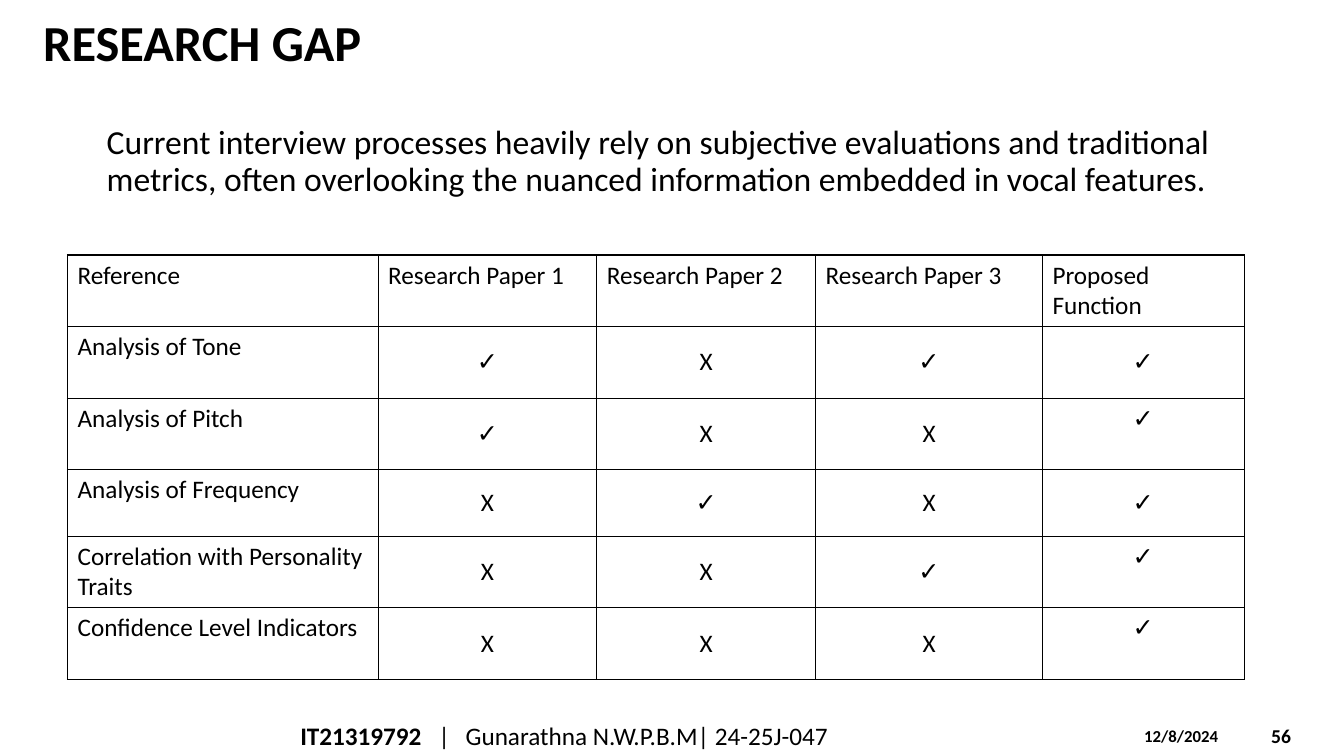
from dataclasses import dataclass

from lxml import etree
from pptx import Presentation
from pptx.dml.color import RGBColor
from pptx.enum.text import MSO_ANCHOR, PP_ALIGN
from pptx.oxml.ns import qn
from pptx.util import Inches, Pt

TOP, MIDDLE = MSO_ANCHOR.TOP, MSO_ANCHOR.MIDDLE
LEFT, CENTER = PP_ALIGN.LEFT, PP_ALIGN.CENTER
FONT, BLACK = "Calibri", "000000"
YES, NO = "✓", "X"


@dataclass
class Label:
    text: str
    left: float
    top: float
    width: float
    height: float
    size: int
    bold: bool = False
    anchor: MSO_ANCHOR = MIDDLE
    space: float = 1.0
    indent: float = 0


@dataclass
class Row:
    name: str
    marks: str
    height: float = 0.71
    last: MSO_ANCHOR = MIDDLE


LABELS = [
    Label("56", 12.51, 7.1, 0.74, 0.4, 14, True),
    Label("12/8/2024", 11.25, 7.15, 1.17, 0.3, 12, True, TOP),
    Label("RESEARCH GAP", 0.33, 0.12, 12.78, 0.65, 36, True, space=0.9),
    Label("Current interview processes heavily rely on subjective evaluations "
          "and traditional metrics, often overlooking the nuanced information "
          "embedded in vocal features.",
          0.92, 1.2, 11.5, 1.17, 24, anchor=TOP, space=0.9, indent=0.04),
]
FOOTER = Label("IT21319792", 2.88, 7.1, 7.45, 0.4, 18, True)
STOPS = [1.37, 1.64]

HEADS = ["Reference", "Research Paper 1", "Research Paper 2",
         "Research Paper 3", "Proposed Function"]
WIDTHS = [3.08, 2.17, 2.17, 2.25, 2]
ROWS = [
    Row("Analysis of Tone", YES + NO + YES + YES),
    Row("Analysis of Pitch", YES + NO + NO + YES, last=TOP),
    Row("Analysis of Frequency", NO + YES + NO + YES, 0.66),
    Row("Correlation with Personality Traits", NO + NO + YES + YES, last=TOP),
    Row("Confidence Level Indicators", NO + NO + NO + YES, last=TOP),
]


def paint(code: str) -> RGBColor:
    return RGBColor.from_string(code)


def write(para, text: str, *, size: int = 18, bold: bool = False,
          color: str = BLACK, align=LEFT, space: float = 1.0) -> None:
    para.alignment = align
    para.line_spacing = space
    run = para.add_run()
    run.text = text
    run.font.name = FONT
    run.font.size = Pt(size)
    run.font.bold = bold
    run.font.color.rgb = paint(color)


def add_label(slide, label: Label):
    box = slide.shapes.add_textbox(Inches(label.left), Inches(label.top),
                                   Inches(label.width), Inches(label.height))
    frame = box.text_frame
    frame.word_wrap = True
    frame.vertical_anchor = label.anchor
    para = frame.paragraphs[0]
    if label.indent:
        props = para._p.get_or_add_pPr()
        props.set("marL", str(Inches(label.indent)))
        props.set("indent", "0")
    write(para, label.text, size=label.size, bold=label.bold,
          space=label.space)
    return para


def add_stops(para, stops: list[float]) -> None:
    tabs = etree.SubElement(para._p.get_or_add_pPr(), qn("a:tabLst"))
    for stop in stops:
        etree.SubElement(tabs, qn("a:tab"), pos=str(Inches(stop)), algn="l")


def add_edges(cell) -> None:
    props = cell._tc.get_or_add_tcPr()
    for side in "LRTB":
        line = etree.SubElement(props, qn(f"a:ln{side}"), w=str(Pt(1)))
        fill = etree.SubElement(line, qn("a:solidFill"))
        etree.SubElement(fill, qn("a:srgbClr"), val=BLACK)


def fill_cell(cell, text: str, anchor=TOP, align=LEFT) -> None:
    add_edges(cell)
    cell.fill.background()
    cell.vertical_anchor = anchor
    write(cell.text_frame.paragraphs[0], text, align=align)


def add_grid(slide) -> None:
    heights = [0.71] + [row.height for row in ROWS]
    grid = slide.shapes.add_table(
        len(heights), len(WIDTHS), Inches(0.67), Inches(2.53),
        Inches(sum(WIDTHS)), Inches(sum(heights))).table
    grid.first_row = False
    grid.horz_banding = False
    for col, width in zip(grid.columns, WIDTHS):
        col.width = Inches(width)
    for line, height in zip(grid.rows, heights):
        line.height = Inches(height)
    for col, head in enumerate(HEADS):
        fill_cell(grid.cell(0, col), head)
    for index, row in enumerate(ROWS, 1):
        fill_cell(grid.cell(index, 0), row.name)
        for col, mark in enumerate(row.marks, 1):
            anchor = row.last if col == len(row.marks) else MIDDLE
            fill_cell(grid.cell(index, col), mark, anchor, CENTER)


def main() -> None:
    deck = Presentation()
    deck.slide_width, deck.slide_height = Inches(13.33), Inches(7.5)
    slide = deck.slides.add_slide(deck.slide_layouts[6])
    for label in LABELS:
        add_label(slide, label)
    add_grid(slide)
    para = add_label(slide, FOOTER)
    add_stops(para, STOPS)
    write(para, "\t|\tGunarathna N.W.P.B.M| 24-25J-047")
    deck.save("out.pptx")


if __name__ == "__main__":
    main()
